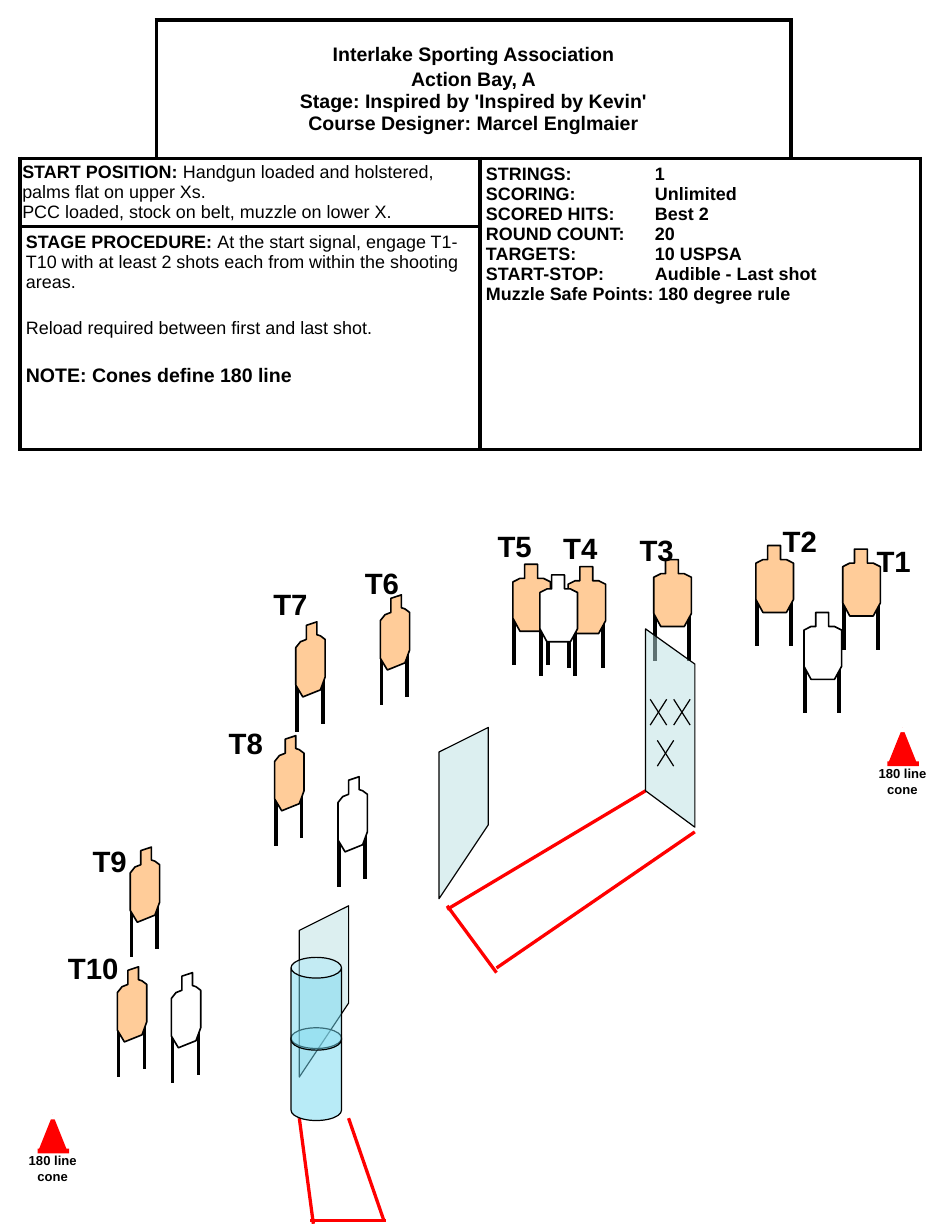
from lxml import etree
from pptx import Presentation
from pptx import util as u
from pptx.dml.color import RGBColor
from pptx.enum import shapes, text
from pptx.oxml.ns import qn

COLUMNS, ROWS = 800, 1050  # grid of the page; every length below is in its cells
SHAPE, ALIGN = shapes.MSO_SHAPE, text.PP_ALIGN
BLACK, WHITE, RED, TAN, GLASS, BARREL = "000000", "FFFFFF", "FF0000", "FFCC99", "BBE0E3", "73D9F1"

# Outline and legs of a target, measured from its top left corner
FRONT = ([(21, 0), (10, 0), (10, 12), (6, 12), (0, 15), (0, 46), (6, 57),
          (26, 57), (32, 46), (32, 15), (26, 12), (21, 12)],
         [(1, 42, 86), (30, 42, 86)])
ANGLED = ([(9, 3), (18, 0), (18, 11), (21, 12), (25, 15), (25, 47), (21, 58),
           (6, 64), (0, 54), (0, 22), (4, 17), (9, 15)],
          [(1, 51, 94), (23, 44, 87)])
PANEL = [(42, 83), (0, 146), (0, 21), (42, 0)]
TALL_PANEL = [(42, 30), (0, 0), (0, 138), (42, 169)]


def color(value):
    return RGBColor.from_string(value)


def write(frame, words, lead="", size=11, bold=False, before=0, align=ALIGN.LEFT, tab=None):
    """Add one paragraph, with an optional bold lead."""
    paragraph = frame.paragraphs[0]
    if paragraph.runs:
        paragraph = frame.add_paragraph()
    paragraph.alignment = align
    paragraph.space_before = u.Pt(before)
    if tab:
        stops = etree.SubElement(paragraph._p.get_or_add_pPr(), qn("a:tabLst"))
        etree.SubElement(stops, qn("a:tab"), pos=str(tab), algn="l")
    for part, heavy in ((lead, True), (words, bold)):
        if part:
            run = paragraph.add_run()
            run.text = part
            run.font.name, run.font.size, run.font.bold = "Arial", u.Pt(size), heavy
            run.font.color.rgb = color(BLACK)


class Page:
    def __init__(self, presentation):
        self.column = presentation.slide_width // COLUMNS
        self.row = presentation.slide_height // ROWS
        self.slide = presentation.slides.add_slide(presentation.slide_layouts[6])
        self.items = self.slide.shapes

    def place(self, x, y):
        return u.Emu(round(x * self.column)), u.Emu(round(y * self.row))

    def paint(self, shape, fill, line=None, opacity=100):
        shape.shadow.inherit = False
        shape.fill.solid()
        shape.fill.fore_color.rgb = color(fill)
        if opacity < 100:
            tint = shape.fill._xPr.find(qn("a:solidFill"))[0]
            etree.SubElement(tint, qn("a:alpha"), val=str(opacity * 1000))
        if line:
            shape.line.color.rgb = color(BLACK)
            shape.line.width = u.Pt(line)
        else:
            shape.line.fill.background()

    def line(self, x1, y1, x2, y2, ink=BLACK, width=2.25):
        connector = self.items.add_connector(shapes.MSO_CONNECTOR.STRAIGHT,
                                             *self.place(x1, y1), *self.place(x2, y2))
        connector.line.color.rgb = color(ink)
        connector.line.width = u.Pt(width)
        etree.SubElement(connector._element.spPr, qn("a:effectLst"))

    def shape(self, kind, x, y, width, height, fill, **look):
        shape = self.items.add_shape(kind, *self.place(x, y), *self.place(width, height))
        self.paint(shape, fill, **look)
        return shape

    def outline(self, x, y, points, fill, **look):
        corners = [self.place(x + dx, y + dy) for dx, dy in points]
        builder = self.items.build_freeform(*corners[0])
        builder.add_line_segments(corners[1:], close=True)
        self.paint(builder.convert_to_shape(), fill, **look)

    def label(self, words, x, y, width=59, height=40, **style):
        box = self.items.add_textbox(*self.place(x, y), *self.place(width, height))
        box.text_frame.word_wrap = True
        write(box.text_frame, words, bold=True, **style)

    def target(self, x, y, kind, fill=TAN):
        points, legs = kind
        for dx, top, bottom in legs:
            self.line(x + dx, y + top, x + dx, y + bottom)
        self.outline(x, y, points, fill, line=1)

    def panel(self, x, y, points):
        self.outline(x, y, points, GLASS, line=0.75, opacity=50)

    def cone(self, x, y):
        self.shape(SHAPE.ISOSCELES_TRIANGLE, x + 1, y, 24, 30, RED)
        self.shape(SHAPE.RECTANGLE, x + 7, y, 12, 4, WHITE)
        self.shape(SHAPE.RECTANGLE, x, y + 29, 27, 4, RED)
        self.label("180 line cone", x - 25, y + 27.5, 76, 37, size=8, align=ALIGN.CENTER)

    def cross(self, x, y):
        self.line(x, y, x + 14, y + 22, width=0.75)
        self.line(x + 14, y, x, y + 22, width=0.75)

    def table(self, x, y, widths, heights):
        frame = self.items.add_table(len(heights), len(widths), *self.place(x, y),
                                     *self.place(sum(widths), sum(heights)))
        table = frame.table
        table.first_row = table.horz_banding = False
        for column, width in zip(table.columns, widths):
            column.width = self.place(width, 0)[0]
        for row, height in zip(table.rows, heights):
            row.height = self.place(0, height)[1]
        return table

    def cell(self, cell, open_sides="", inset=(5, 5)):
        cell.margin_left = cell.margin_right = self.place(inset[0], 0)[0]
        cell.margin_top = cell.margin_bottom = self.place(0, inset[1])[1]
        for side in "LRTB":
            edge = etree.SubElement(cell._tc.get_or_add_tcPr(), qn("a:ln" + side),
                                    w=str(u.Pt(2.25)))
            if side in open_sides:
                etree.SubElement(edge, qn("a:noFill"))
            else:
                ink = etree.SubElement(edge, qn("a:solidFill"))
                etree.SubElement(ink, qn("a:srgbClr"), val=BLACK)
        cell.fill.solid()
        cell.fill.fore_color.rgb = color(WHITE)


def briefing(page):
    table = page.table(17, 17, [116, 276, 265, 110], [118, 58, 190])
    for first, last in (((0, 1), (0, 2)), ((1, 0), (1, 1)), ((1, 2), (2, 3)), ((2, 0), (2, 1))):
        table.cell(*first).merge(table.cell(*last))
    for row in range(3):
        for column in range(4):
            open_sides = {(0, 0): "LT", (0, 3): "RT"}.get((row, column), "")
            inset = (2, 3) if (row, column) == (1, 0) else (5, 5)
            page.cell(table.cell(row, column), open_sides, inset)

    # Heading
    heading = table.cell(0, 1)
    heading.vertical_anchor = text.MSO_ANCHOR.MIDDLE
    for words, before in (("Interlake Sporting Association", 0), ("Action Bay, A", 2),
                          ("Stage: Inspired by 'Inspired by Kevin'", 0),
                          ("Course Designer: Marcel Englmaier", 0)):
        write(heading.text_frame, words, size=12, bold=True, before=before, align=ALIGN.CENTER)

    # Start position and procedure
    start = table.cell(1, 0).text_frame
    write(start, "Handgun loaded and holstered, palms flat on upper Xs.", lead="START POSITION: ")
    write(start, "PCC loaded, stock on belt, muzzle on lower X.")
    procedure = table.cell(2, 0).text_frame
    write(procedure, "At the start signal, engage T1-T10 with at least 2 shots each "
          "from within the shooting areas.", lead="STAGE PROCEDURE: ")
    write(procedure, "Reload required between first and last shot.", before=16)
    write(procedure, "NOTE: Cones define 180 line", size=12, bold=True, before=16)

    # Scoring facts
    facts = table.cell(1, 2).text_frame
    for name, value in (("STRINGS:", "1"), ("SCORING:", "Unlimited"), ("SCORED HITS:", "Best 2"),
                        ("ROUND COUNT:", "20"), ("TARGETS:", "10 USPSA"),
                        ("START-STOP:", "Audible - Last shot")):
        write(facts, f"{name}\t{value}", bold=True, tab=page.place(144, 0)[0])
    write(facts, "Muzzle Safe Points: 180 degree rule", bold=True)


def bay(page):
    # Targets at the back
    page.target(557, 477, FRONT)
    for x, y in ((437, 481), (644, 465), (718, 468), (484, 483)):
        page.target(x, y, FRONT)
    for x, y in ((685, 522), (460, 490)):
        page.target(x, y, FRONT, WHITE)

    # Targets along the left side
    for x, y in ((111, 722), (100, 824), (234, 627), (252, 530), (324, 507)):
        page.target(x, y, ANGLED)
    for x, y in ((146, 829), (288, 662)):
        page.target(x, y, ANGLED, WHITE)

    # Shooting areas
    for ends in ((297, 953, 327, 1040), (329, 1040, 264, 1040), (255, 953, 267, 1043),
                 (381, 772, 423, 829), (381, 775, 550, 674), (423, 825, 592, 709)):
        page.line(*ends, ink=RED, width=2)

    # Walls and stacked barrels
    page.panel(550, 536, TALL_PANEL)
    page.panel(374, 620, PANEL)
    page.panel(255, 772, PANEL)
    for y in (876, 816):
        barrel = page.shape(SHAPE.CAN, 248, y, 43, 79, BARREL, line=0.75, opacity=50)
        barrel.adjustments[0] = 0.41

    # Cones and hand marks
    page.cone(32, 950)
    page.cone(756, 620)
    for x, y in ((554, 596), (574, 596), (560, 631)):
        page.cross(x, y)

    # Target numbers
    places = ((737, 458), (657, 441), (535, 449), (470, 447), (414, 445),
              (301, 477), (223, 495), (185, 613), (69, 714), (48, 805))
    for number, (x, y) in enumerate(places, 1):
        page.label(f"T{number}", x, y, width=69 if number == 10 else 59, size=18)


def main():
    presentation = Presentation()
    presentation.slide_width, presentation.slide_height = u.Inches(8), u.Inches(10.5)
    page = Page(presentation)
    briefing(page)
    bay(page)
    presentation.save("out.pptx")


if __name__ == "__main__":
    main()
